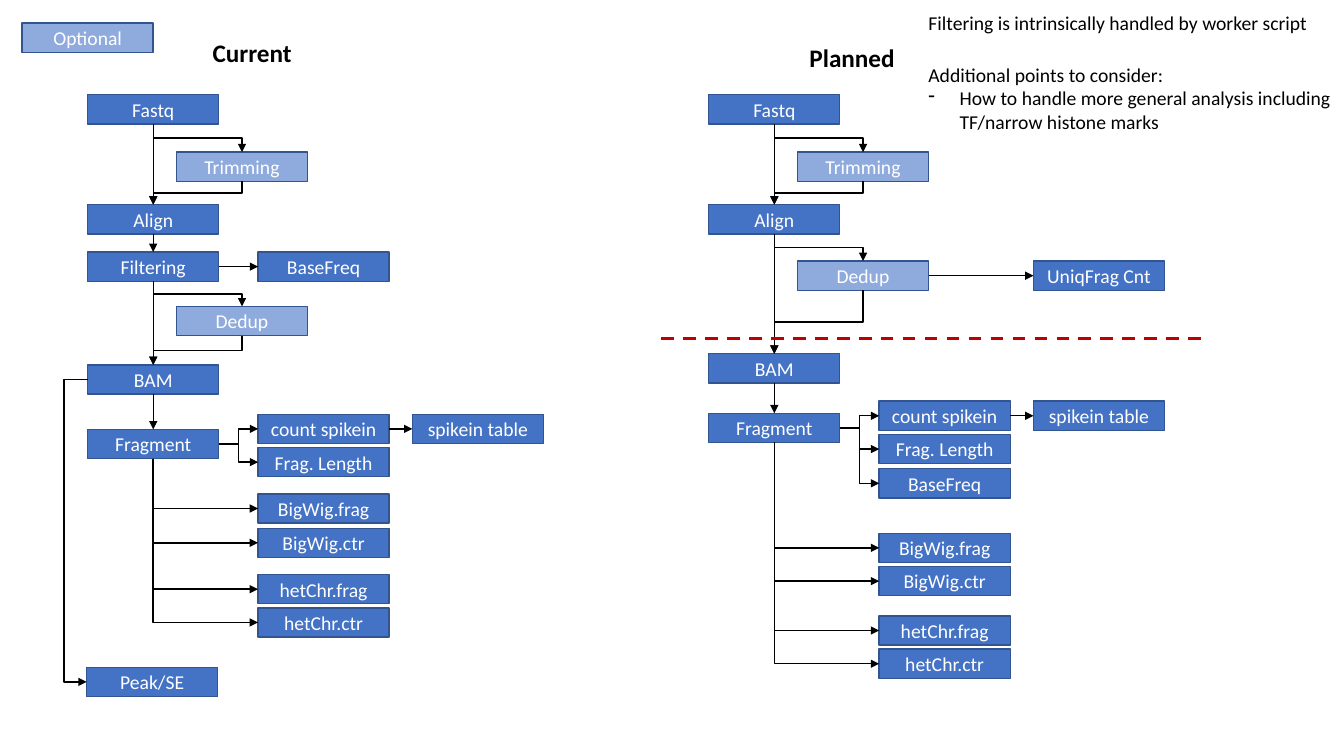
from pptx import Presentation
from pptx.dml.color import RGBColor
from pptx.enum.dml import MSO_LINE
from pptx.enum.shapes import MSO_CONNECTOR, MSO_SHAPE
from pptx.enum.text import MSO_ANCHOR, MSO_AUTO_SIZE, PP_ALIGN
from pptx.oxml.ns import qn
from pptx.util import Inches, Pt
from lxml.etree import SubElement

COLORS = {"step": "4472C4", "optional": "8FAADC", "border": "325491",
          "divider": "C00000", "ink": "000000", "paper": "FFFFFF"}
FONT = "Calibri"
BOX_W, BOX_H = 1.3, 0.29
COLUMNS = {"main": 0, "optional": 0.88, "output": 1.69, "table": 3.22, "peak": -0.01}
TOP, LEFT, BOTTOM, RIGHT = range(4)
ROUTES = {"down": (BOTTOM, TOP), "across": (RIGHT, LEFT), "detour": (BOTTOM, TOP),
          "split": (RIGHT, LEFT), "drop": (BOTTOM, LEFT), "around": (LEFT, LEFT)}

WORKFLOWS = [
    {"left": 0.87,
     "boxes": {
         "main": [("Fastq", 0.94), ("Align", 2.03), ("Filtering", 2.5),
                  ("BAM", 3.62), ("Fragment", 4.26)],
         "optional": [("Trimming", 1.51), ("Dedup", 3.04)],
         "output": [("BaseFreq", 2.5), ("count spikein", 4.11), ("Frag. Length", 4.44),
                    ("BigWig.frag", 4.9), ("BigWig.ctr", 5.24),
                    ("hetChr.frag", 5.7), ("hetChr.ctr", 6.03)],
         "table": [("spikein table", 4.11)],
         "peak": [("Peak/SE", 6.62)]},
     "detours": [("Fastq", "Trimming", "Align"), ("Filtering", "Dedup", "BAM")],
     "across": [("Filtering", "BaseFreq"), ("count spikein", "spikein table")],
     "split": ["count spikein", "Frag. Length"],
     "around": [("BAM", "Peak/SE")]},
    {"left": 7.03,
     "boxes": {
         "main": [("Fastq", 0.94), ("Align", 2.03), ("BAM", 3.51), ("Fragment", 4.1)],
         "optional": [("Trimming", 1.51), ("Dedup", 2.59)],
         "output": [("count spikein", 3.98), ("Frag. Length", 4.31), ("BaseFreq", 4.65),
                    ("BigWig.frag", 5.29), ("BigWig.ctr", 5.62),
                    ("hetChr.frag", 6.11), ("hetChr.ctr", 6.44)],
         "table": [("spikein table", 3.98), ("UniqFrag Cnt", 2.59)]},
     "detours": [("Fastq", "Trimming", "Align"), ("Align", "Dedup", "BAM")],
     "across": [("Dedup", "UniqFrag Cnt"), ("count spikein", "spikein table")],
     "split": ["count spikein", "Frag. Length", "BaseFreq"],
     "around": []},
]
TRACKS = ["BigWig.frag", "BigWig.ctr", "hetChr.frag", "hetChr.ctr"]
NOTES = [
    (2.01, 0.32, 1.03, 0.4, 18, ["Current"]),
    (7.93, 0.37, 1.05, 0.4, 18, ["Planned"]),
    (9.11, 0.06, 4, 0.34, 14, ["Filtering is intrinsically handled by worker script"]),
    (9.11, 0.57, 4.23, 0.81, 14,
     ["Additional points to consider:",
      "How to handle more general analysis including\vTF/narrow histone marks"]),
]

prs = Presentation()
prs.slide_width, prs.slide_height = Inches(13.33), Inches(7.5)
slide = prs.slides.add_slide(prs.slide_layouts[6])


def color(key):
    return RGBColor.from_string(COLORS[key])


def style(paragraph, size, ink, bold=False):
    for run in paragraph.runs:
        run.font.name, run.font.size, run.font.bold = FONT, Pt(size), bold
        run.font.color.rgb = color(ink)


def add_box(label, left, top, fill):
    box = slide.shapes.add_shape(MSO_SHAPE.RECTANGLE, Inches(left), Inches(top),
                                 Inches(BOX_W), Inches(BOX_H))
    box.shadow.inherit = False
    box.fill.solid()
    box.fill.fore_color.rgb = color(fill)
    box.line.color.rgb = color("border")
    box.line.width = Pt(1)
    box.text_frame.text = label
    box.text_frame.vertical_anchor = MSO_ANCHOR.MIDDLE
    paragraph = box.text_frame.paragraphs[0]
    paragraph.alignment = PP_ALIGN.CENTER
    style(paragraph, 14, "paper")
    return box


def add_line(kind, start, end, ink, width):
    line = slide.shapes.add_connector(kind, *start, *end)
    line.line.color.rgb = color(ink)
    line.line.width = Pt(width)
    SubElement(line._element.spPr, qn("a:effectLst"))
    return line


def site(box, side):
    across = {LEFT: 0, RIGHT: box.width}.get(side, box.width // 2)
    down = {TOP: 0, BOTTOM: box.height}.get(side, box.height // 2)
    return box.left + across, box.top + down


def turn_downward(props, start, end):
    (x1, y1), (x2, y2) = start, end
    width, height = abs(y2 - y1), abs(x2 - x1)
    xfrm = props.find(qn("a:xfrm"))
    xfrm.attrib.clear()
    xfrm.set("rot", str((270 if x2 > x1 else 90) * 60000))
    if x2 > x1:
        xfrm.set("flipH", "1")
    offset, extent = xfrm.find(qn("a:off")), xfrm.find(qn("a:ext"))
    offset.set("x", str((x1 + x2 - width) // 2))
    offset.set("y", str((y1 + y2 - height) // 2))
    extent.set("cx", str(width))
    extent.set("cy", str(height))


def link(source, target, route):
    out_side, in_side = ROUTES[route]
    start, end = site(source, out_side), site(target, in_side)
    straight = route in ("down", "across")
    kind = MSO_CONNECTOR.STRAIGHT if straight else MSO_CONNECTOR.ELBOW
    arrow = add_line(kind, start, end, "ink", 1)
    arrow.begin_connect(source, out_side)
    arrow.end_connect(target, in_side)
    props = arrow._element.spPr
    SubElement(props.find(qn("a:ln")), qn("a:tailEnd"), type="triangle")
    geometry = props.find(qn("a:prstGeom"))
    if route in ("detour", "drop"):
        turn_downward(props, start, end)
    if route == "drop":
        geometry.set("prst", "bentConnector2")
    if route == "around":
        SubElement(geometry.find(qn("a:avLst")), qn("a:gd"), name="adj1", fmla="val 2400000")


add_box("Optional", 0.22, 0.23, "optional")

for flow in WORKFLOWS:
    boxes = {label: add_box(label, flow["left"] + COLUMNS[column], top,
                            "optional" if column == "optional" else "step")
             for column, entries in flow["boxes"].items() for label, top in entries}
    main = [label for label, top in flow["boxes"]["main"]]
    links = [(a, b, "down") for a, b in zip(main, main[1:])]
    for before, extra, after in flow["detours"]:
        links += [(before, extra, "detour"), (extra, after, "detour")]
    links += [(a, b, route) for route in ("across", "around") for a, b in flow[route]]
    links += [("Fragment", label, "split") for label in flow["split"]]
    links += [("Fragment", label, "drop") for label in TRACKS]
    for source, target, route in links:
        link(boxes[source], boxes[target], route)

for left, top, width, height, size, lines in NOTES:
    note = slide.shapes.add_textbox(Inches(left), Inches(top), Inches(width), Inches(height))
    frame = note.text_frame
    frame.text = lines[0]
    frame.word_wrap = False
    frame.auto_size = MSO_AUTO_SIZE.SHAPE_TO_FIT_TEXT
    for text in lines[1:]:
        point = frame.add_paragraph()
        point.text = text
        props = point._p.get_or_add_pPr()
        props.set("marL", str(Inches(0.31)))
        props.set("indent", str(-Inches(0.31)))
        SubElement(props, qn("a:buFontTx"))
        SubElement(props, qn("a:buChar"), char="-")
    for paragraph in frame.paragraphs:
        style(paragraph, size, "ink", bold=size == 18)

divider = add_line(MSO_CONNECTOR.STRAIGHT, (Inches(6.56), Inches(3.36)),
                   (Inches(12), Inches(3.36)), "divider", 2.25)
divider.line.dash_style = MSO_LINE.DASH

prs.save("out.pptx")
